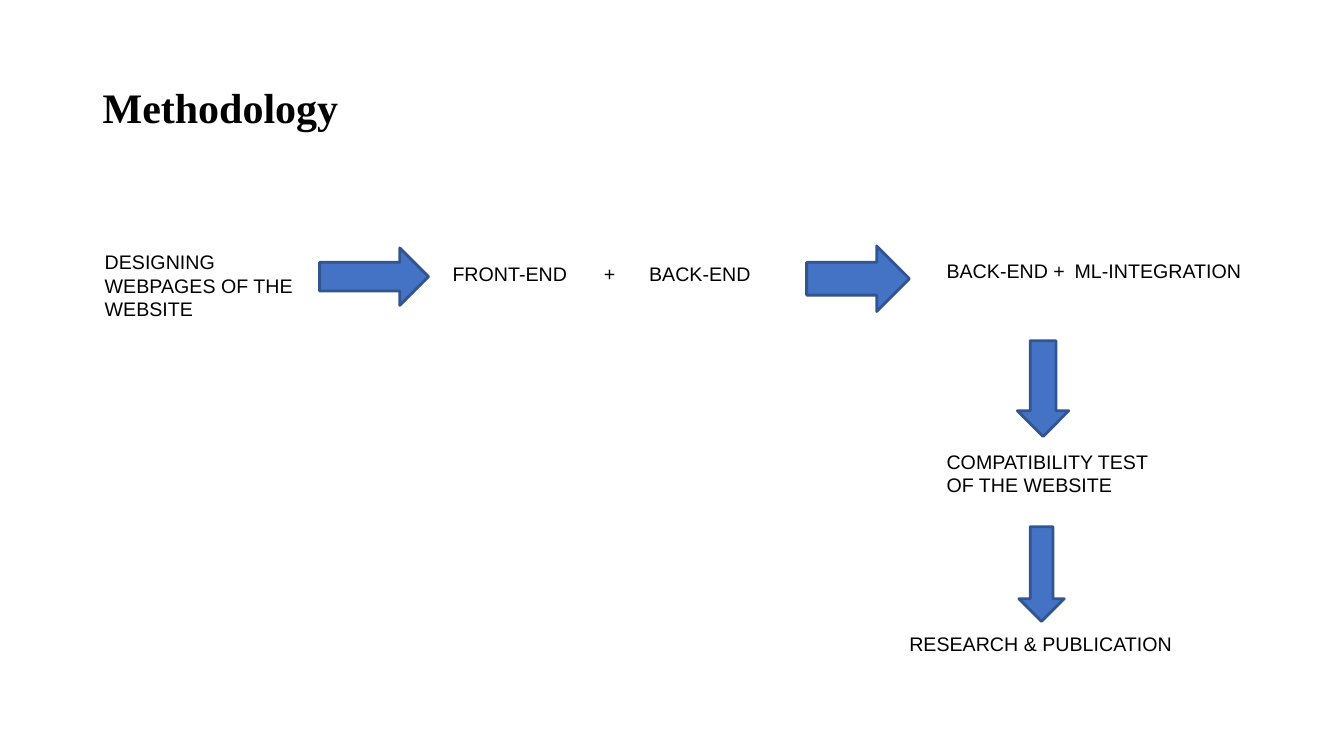
from lxml.etree import SubElement
from pptx import Presentation
from pptx.dml.color import RGBColor
from pptx.enum.shapes import MSO_SHAPE
from pptx.enum.text import MSO_ANCHOR
from pptx.oxml.ns import qn
from pptx.util import Inches, Pt

BLACK = RGBColor(0x00, 0x00, 0x00)
BLUE = RGBColor(0x44, 0x72, 0xC4)
DARK_BLUE = RGBColor(0x32, 0x54, 0x91)


class FlowSlide:
    body_font = "Arial"
    body_size = 14

    def __init__(self, deck):
        self.slide = deck.slides.add_slide(deck.slide_layouts[6])

    def text(self, words, left, top, width, height, *, font=body_font, size=body_size,
             bold=False, anchor=MSO_ANCHOR.TOP, spacing=1.0, tabs=()):
        box = self.slide.shapes.add_textbox(*map(Inches, (left, top, width, height)))
        frame = box.text_frame
        frame.word_wrap = True
        frame.vertical_anchor = anchor
        paragraph = frame.paragraphs[0]
        paragraph.line_spacing = spacing
        run = paragraph.add_run()
        run.text = words
        run.font.name = font
        run.font.size = Pt(size)
        run.font.bold = bold
        run.font.color.rgb = BLACK
        if tabs:
            stops = SubElement(paragraph._p.get_or_add_pPr(), qn("a:tabLst"))
            for stop in tabs:
                SubElement(stops, qn("a:tab"), pos=str(Inches(stop)), algn="l")

    def arrow(self, left, top, width, height, rotation=0):
        arrow = self.slide.shapes.add_shape(
            MSO_SHAPE.RIGHT_ARROW, *map(Inches, (left, top, width, height)))
        arrow.rotation = rotation
        arrow.shadow.inherit = False
        arrow.fill.solid()
        arrow.fill.fore_color.rgb = BLUE
        arrow.line.color.rgb = DARK_BLUE
        arrow.line.width = Pt(2)


def main():
    deck = Presentation()
    deck.slide_width = Inches(13.33)
    deck.slide_height = Inches(7.5)
    methodology = FlowSlide(deck)

    methodology.text("Methodology", 0.92, 0.37, 11.5, 1.45, font="Times New Roman",
                     size=30, bold=True, anchor=MSO_ANCHOR.MIDDLE, spacing=0.9)

    methodology.text("DESIGNING WEBPAGES OF THE WEBSITE", 0.94, 2.43, 2.3, 0.81)
    methodology.text("FRONT-END\t+\tBACK-END", 4.39, 2.55, 3.33, 0.34, tabs=(1.5, 1.95))
    methodology.text("BACK-END +\tML-INTEGRATION", 9.29, 2.52, 3.33, 0.34, tabs=(1.27,))
    methodology.text("COMPATIBILITY TEST OF THE WEBSITE", 9.29, 4.41, 2.3, 0.57)
    methodology.text("RESEARCH & PUBLICATION", 8.92, 6.22, 2.83, 0.34)

    methodology.arrow(3.17, 2.46, 1.08, 0.57)
    methodology.arrow(8, 2.44, 1.02, 0.65)
    methodology.arrow(9.87, 3.6, 0.95, 0.51, rotation=90)
    methodology.arrow(9.86, 5.47, 0.94, 0.45, rotation=90)

    deck.save("out.pptx")


if __name__ == "__main__":
    main()
